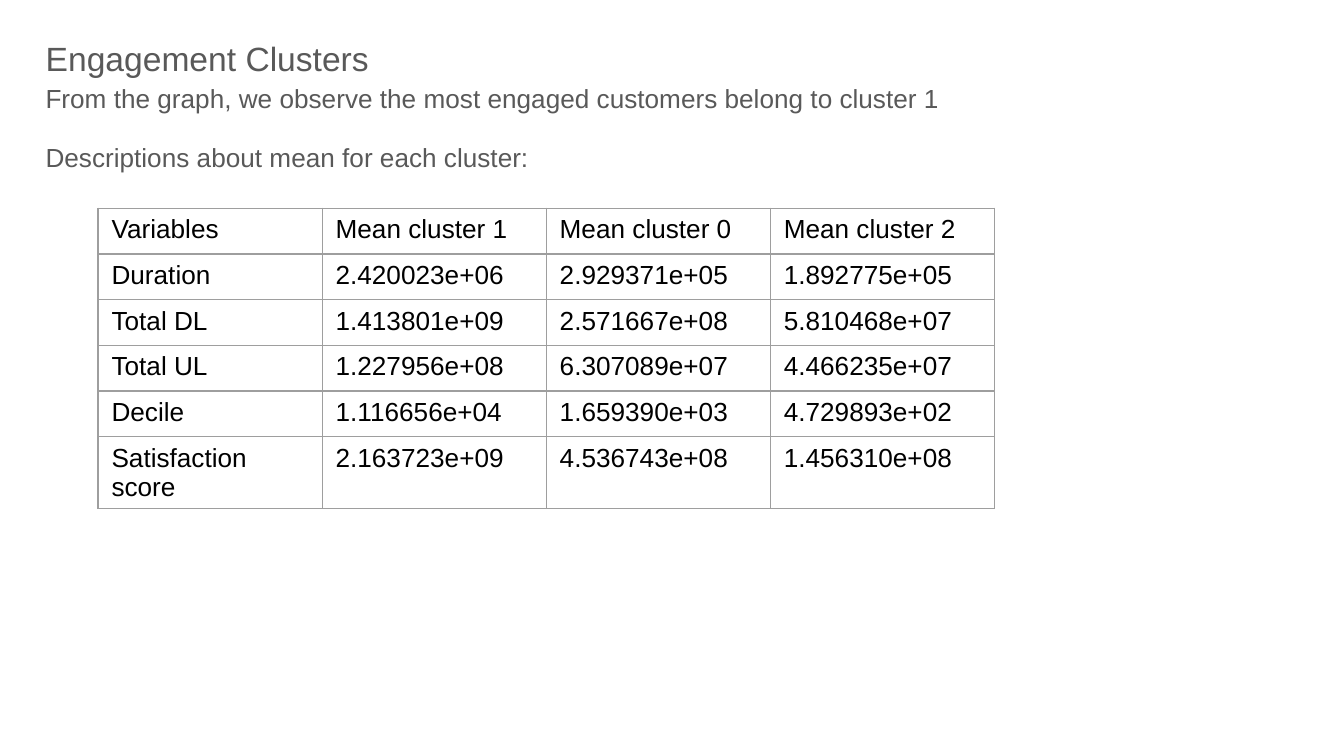
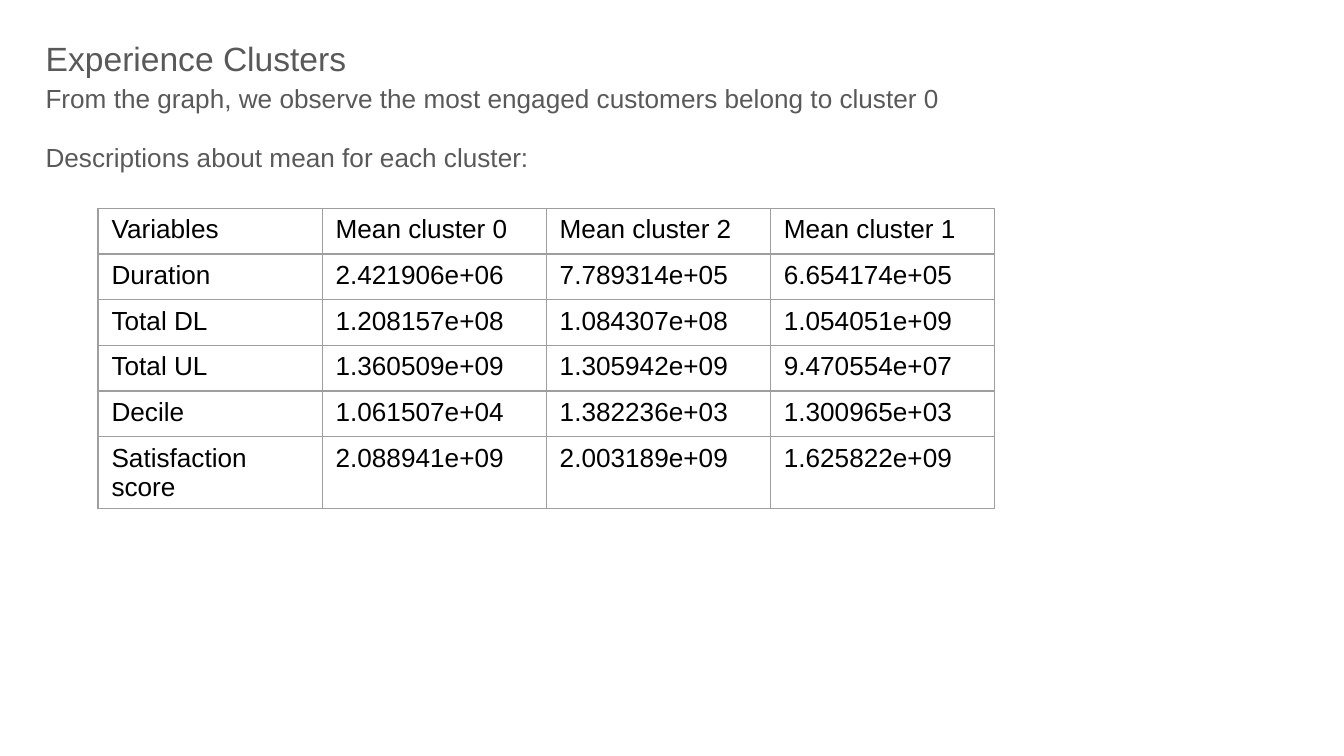
"""Build two slides that compare cluster means for engagement and experience."""
from dataclasses import dataclass

from lxml import etree
from pptx import Presentation
from pptx.dml.color import RGBColor
from pptx.enum.text import MSO_ANCHOR, MSO_AUTO_SIZE, PP_ALIGN
from pptx.oxml.ns import qn
from pptx.util import Inches, Pt

TOP = MSO_ANCHOR.TOP
LEFT = PP_ALIGN.LEFT
FIXED = MSO_AUTO_SIZE.NONE


@dataclass(frozen=True)
class Theme:
    font: str = "Arial"
    prose: str = "595959"
    cell: str = "000000"
    border: str = "9E9E9E"
    border_width: float = 0.75
    title_size: int = 18
    body_size: int = 14
    line_spacing: float = 1.15
    gap: int = 12


THEME = Theme()
SLIDE_WIDTH = Inches(10)
SLIDE_HEIGHT = SLIDE_WIDTH * 9 // 16
MARGIN, TEXT_WIDTH = Inches(0.24), Inches(9.32)
TITLE_TOP, TITLE_HEIGHT = Inches(0.14), Inches(0.45)
INTRO_TOP, INTRO_HEIGHT = Inches(0.48), Inches(0.95)
TABLE_LEFT, TABLE_TOP, TABLE_WIDTH = Inches(0.73), Inches(1.55), Inches(6.67)
ROW, LAST_ROW = Inches(0.34), Inches(0.47)
INSET = Inches(0.1)

VARIABLES = ["Duration", "Total DL", "Total UL", "Decile", "Satisfaction score"]
ANALYSES = [
    ("Engagement Clusters", {
        1: ["2.420023e+06", "1.413801e+09", "1.227956e+08", "1.116656e+04", "2.163723e+09"],
        0: ["2.929371e+05", "2.571667e+08", "6.307089e+07", "1.659390e+03", "4.536743e+08"],
        2: ["1.892775e+05", "5.810468e+07", "4.466235e+07", "4.729893e+02", "1.456310e+08"],
    }),
    ("Experience Clusters", {
        0: ["2.421906e+06", "1.208157e+08", "1.360509e+09", "1.061507e+04", "2.088941e+09"],
        2: ["7.789314e+05", "1.084307e+08", "1.305942e+09", "1.382236e+03", "2.003189e+09"],
        1: ["6.654174e+05", "1.054051e+09", "9.470554e+07", "1.300965e+03", "1.625822e+09"],
    }),
]


def write(frame, text, size, color, spacing=1.0):
    frame.text = text
    frame.word_wrap = True
    for paragraph in frame.paragraphs:
        paragraph.alignment = LEFT
        paragraph.line_spacing = spacing
        for run in paragraph.runs:
            run.font.name = THEME.font
            run.font.size = Pt(size)
            run.font.color.rgb = RGBColor.from_string(color)


def outline(cell):
    properties = cell._tc.get_or_add_tcPr()
    for side in ("a:lnL", "a:lnR", "a:lnT", "a:lnB"):
        line = etree.SubElement(properties, qn(side), w=str(Pt(THEME.border_width)))
        fill = etree.SubElement(line, qn("a:solidFill"))
        etree.SubElement(fill, qn("a:srgbClr"), val=THEME.border)


deck = Presentation()
deck.slide_width, deck.slide_height = SLIDE_WIDTH, SLIDE_HEIGHT
title_only = deck.slide_layouts[5]

for heading, means in ANALYSES:
    slide = deck.slides.add_slide(title_only)
    leading_cluster = next(iter(means))

    title = slide.shapes.title
    title.left, title.top = MARGIN, TITLE_TOP
    title.width, title.height = TEXT_WIDTH, TITLE_HEIGHT
    write(title.text_frame, heading, THEME.title_size, THEME.prose, THEME.line_spacing)

    intro = slide.shapes.add_textbox(MARGIN, INTRO_TOP, TEXT_WIDTH, INTRO_HEIGHT)
    finding = f"From the graph, we observe the most engaged customers belong to cluster {leading_cluster}"
    write(intro.text_frame, f"{finding}\nDescriptions about mean for each cluster:",
          THEME.body_size, THEME.prose, THEME.line_spacing)
    lead_in = intro.text_frame.paragraphs[1]
    lead_in.space_before = lead_in.space_after = Pt(THEME.gap)

    for frame in (title.text_frame, intro.text_frame):
        frame.auto_size = FIXED
        frame.vertical_anchor = TOP
        frame.margin_left = frame.margin_right = INSET
        frame.margin_top = frame.margin_bottom = INSET

    header = ["Variables"] + [f"Mean cluster {cluster}" for cluster in means]
    records = [header, *zip(VARIABLES, *means.values())]
    height = ROW * len(VARIABLES) + LAST_ROW
    summary = slide.shapes.add_table(len(records), len(header), TABLE_LEFT, TABLE_TOP,
                                     TABLE_WIDTH, height).table
    summary.first_row = summary.horz_banding = False
    for column in summary.columns:
        column.width = TABLE_WIDTH // len(header)
    for row, record in zip(summary.rows, records):
        row.height = LAST_ROW if record is records[-1] else ROW
        for cell, value in zip(row.cells, record):
            write(cell.text_frame, value, THEME.body_size, THEME.cell)
            outline(cell)
            cell.fill.background()

deck.save("out.pptx")
